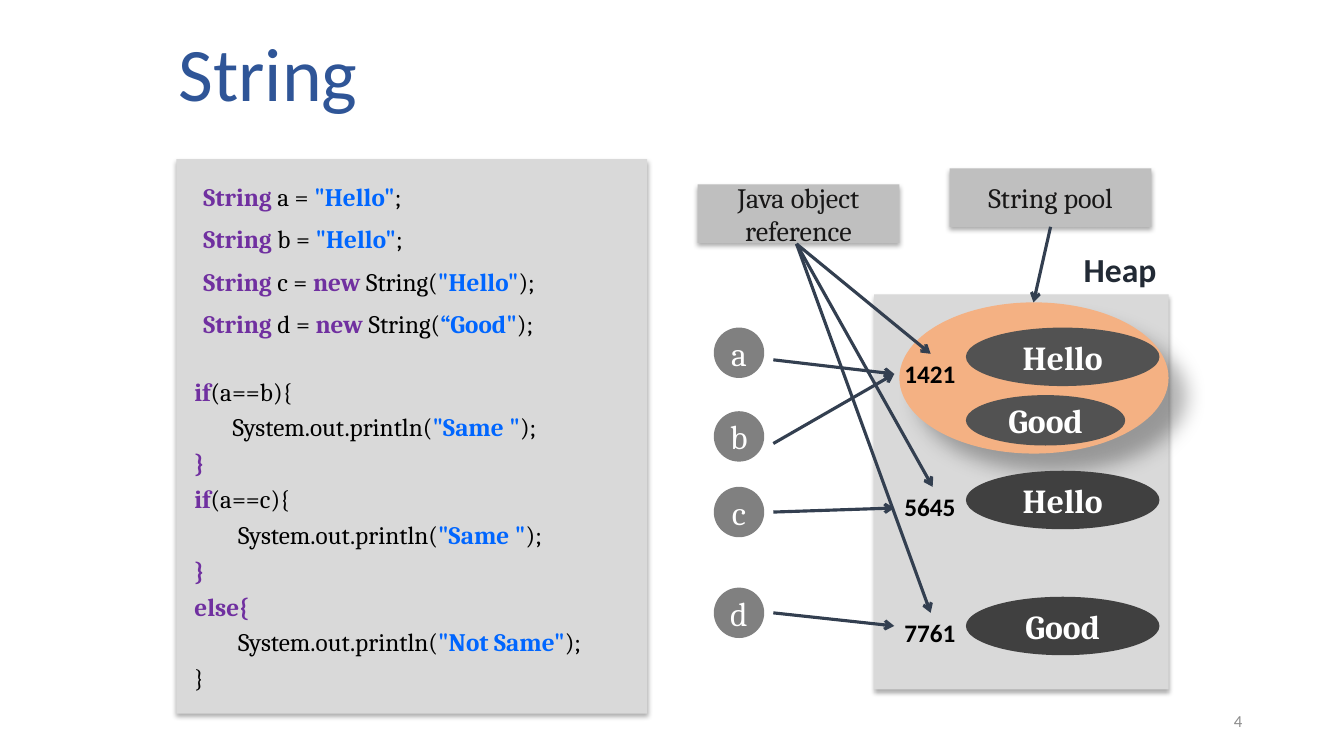
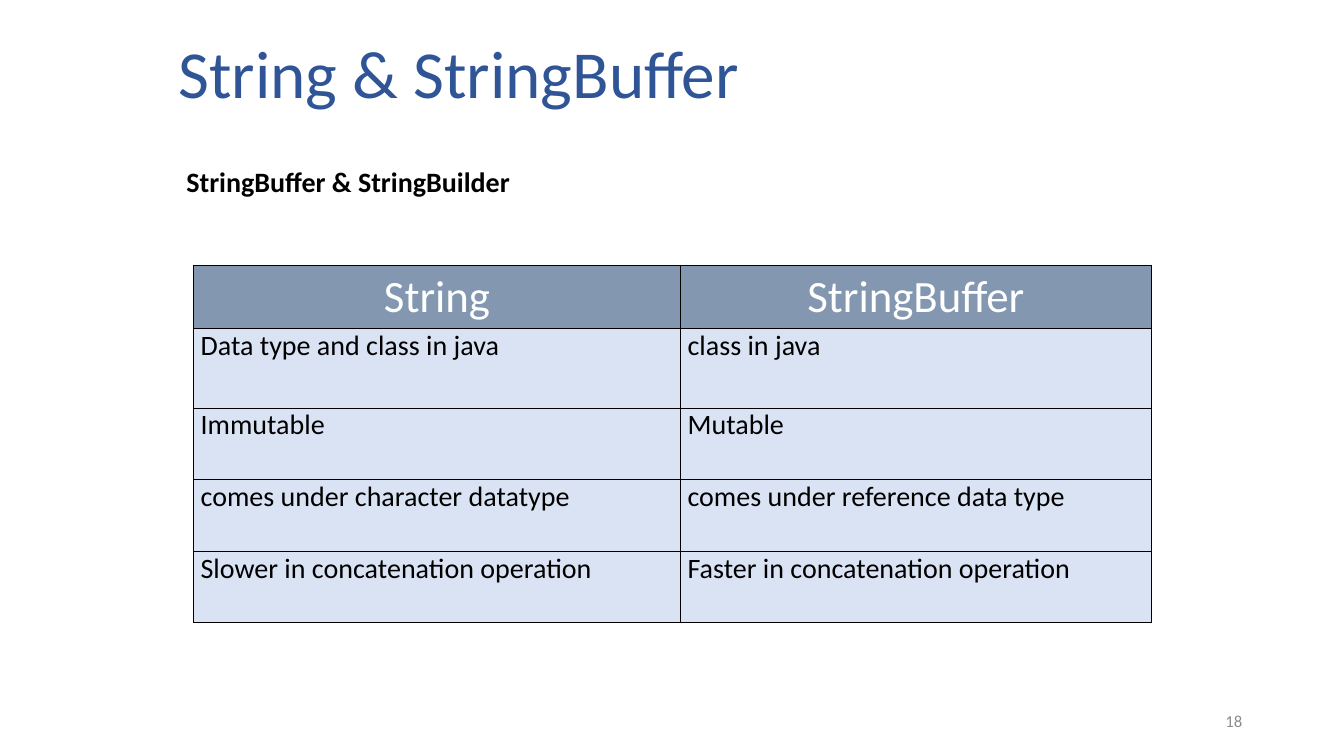
from lxml import etree
from pptx import Presentation
from pptx.dml.color import RGBColor
from pptx.enum import shapes, text
from pptx.oxml import ns
from pptx.util import Inches, Pt

TITLE_BLUE = RGBColor(0x2F, 0x55, 0x97)
PANEL = RGBColor(0xD9, 0xD9, 0xD9)
CAPTION = RGBColor(0xBF, 0xBF, 0xBF)
CAPTION_INK = RGBColor(0x18, 0x17, 0x17)
VARIABLE = RGBColor(0x80, 0x80, 0x80)
HEAP_OBJECT = RGBColor(0x40, 0x40, 0x40)
POOL_OBJECT = RGBColor(0x52, 0x52, 0x52)
POOL = RGBColor(0xF4, 0xB1, 0x83)
ARROW = RGBColor(0x33, 0x3F, 0x50)
HEAP_INK = RGBColor(0x22, 0x2A, 0x35)
KEYWORD = RGBColor(0x70, 0x30, 0xA0)
LITERAL = RGBColor(0x00, 0x66, 0xFF)
HEADER = RGBColor(0x84, 0x97, 0xB0)
BODY = RGBColor(0xDA, 0xE3, 0xF3)
NUMBER = RGBColor(0x8C, 0x8C, 0x8C)
WHITE = RGBColor(0xFF, 0xFF, 0xFF)
BLACK = RGBColor(0x00, 0x00, 0x00)

SANS, SERIF = "Calibri", "Cambria"
RECT = shapes.MSO_SHAPE.RECTANGLE
OVAL = shapes.MSO_SHAPE.OVAL
LEFT, CENTER, RIGHT = (text.PP_ALIGN.LEFT, text.PP_ALIGN.CENTER,
                       text.PP_ALIGN.RIGHT)
TOP, MIDDLE = text.MSO_ANCHOR.TOP, text.MSO_ANCHOR.MIDDLE
SOFT_SHADOW = (32, 3.5, 2.2, 90)
POOL_SHADOW = (30, 15, 18, 45)

DECLARATIONS = [
    [("String", KEYWORD), (" a = ", BLACK), ('"Hello"', LITERAL),
     (";", BLACK)],
    [("String", KEYWORD), (" b = ", BLACK), ('"Hello"', LITERAL),
     (";", BLACK)],
    [("String", KEYWORD), (" c = ", BLACK), ("new", KEYWORD),
     (" String(", BLACK), ('"Hello"', LITERAL), (");", BLACK)],
    [("String", KEYWORD), (" d = ", BLACK), ("new", KEYWORD),
     (" String(", BLACK), ("\u201cGood\"", LITERAL), (");", BLACK)],
]
COMPARISON = [
    [("if", KEYWORD), ("(a==b){", BLACK)],
    [("\tSystem.out.println(", BLACK), ('"Same "', LITERAL), (");", BLACK)],
    [("}", KEYWORD)],
    [("if", KEYWORD), ("(a==c){", BLACK)],
    [("\t System.out.println(", BLACK), ('"Same "', LITERAL), (");", BLACK)],
    [("}", KEYWORD)],
    [("else{", KEYWORD)],
    [("\t System.out.println(", BLACK), ('"Not Same"', LITERAL),
     (");", BLACK)],
    [("}", BLACK)],
]
ROWS = [
    ("String", "StringBuffer"),
    ("Data type and class in java", "class in java"),
    ("Immutable", "Mutable"),
    ("comes under character datatype", "comes under reference data type"),
    ("Slower in concatenation operation", "Faster in concatenation operation"),
]


def style_run(r, size, color, font=SANS, bold=False):
    r.font.size = Pt(size)
    r.font.name = font
    r.font.bold = bold
    r.font.color.rgb = color


def write(tf, content, size, color, font=SANS, bold=False, align=LEFT,
          anchor=TOP):
    tf.text = content
    tf.vertical_anchor = anchor
    p = tf.paragraphs[0]
    p.alignment = align
    style_run(p.runs[0], size, color, font, bold)


def add_text(s, box, content, size, color, wrap=True, **style):
    tf = s.shapes.add_textbox(*map(Inches, box)).text_frame
    tf.word_wrap = wrap
    write(tf, content, size, color, **style)


def add_code(s, box, lines):
    tf = s.shapes.add_textbox(*map(Inches, box)).text_frame
    tf.word_wrap = True
    for i, line in enumerate(lines):
        p = tf.add_paragraph() if i else tf.paragraphs[0]
        p.space_before = Pt(4)
        pPr = p._p.get_or_add_pPr()
        pPr.set("marL", str(Inches(0.38)))
        pPr.set("indent", str(-Inches(0.38)))
        for content, color in line:
            r = p.add_run()
            r.text = content
            style_run(r, 18, color, SERIF, color != BLACK)


def add_shadow(sp, opacity, blur, distance, angle):
    effects = sp._element.spPr.find(ns.qn("a:effectLst"))
    outer = etree.SubElement(
        effects, ns.qn("a:outerShdw"), blurRad=str(Pt(blur)),
        dist=str(Pt(distance)), dir=str(angle * 60000), algn="ctr",
        rotWithShape="0")
    color = etree.SubElement(outer, ns.qn("a:srgbClr"), val=str(BLACK))
    etree.SubElement(color, ns.qn("a:alpha"), val=str(opacity * 1000))


def add_block(s, kind, box, fill, shadow=None):
    sp = s.shapes.add_shape(kind, *map(Inches, box))
    sp.fill.solid()
    sp.fill.fore_color.rgb = fill
    sp.line.fill.background()
    sp.shadow.inherit = False
    if shadow:
        add_shadow(sp, *shadow)
    return sp


def add_caption(s, box, content):
    sp = add_block(s, RECT, box, CAPTION, SOFT_SHADOW)
    write(sp.text_frame, content, 20, CAPTION_INK, SERIF, align=CENTER,
          anchor=MIDDLE)


def add_oval(s, box, content, fill, bold=True):
    sp = add_block(s, OVAL, box, fill)
    sp.text_frame.word_wrap = False
    write(sp.text_frame, content, 24, WHITE, SERIF, bold, CENTER, MIDDLE)


def add_arrow(s, start, end):
    cx = s.shapes.add_connector(shapes.MSO_CONNECTOR.STRAIGHT,
                                *map(Inches, start + end))
    cx.line.color.rgb = ARROW
    cx.line.width = Pt(2.25)
    spPr = cx._element.spPr
    etree.SubElement(spPr.find(ns.qn("a:ln")), ns.qn("a:tailEnd"),
                     type="arrow")
    etree.SubElement(spPr, ns.qn("a:effectLst"))


def add_slide(prs, title, size, number):
    s = prs.slides.add_slide(prs.slide_layouts[5])
    sp = s.shapes.title
    sp.left, sp.top, sp.width, sp.height = map(Inches, (1.67, 0, 7.83, 1.42))
    sp.text_frame.auto_size = text.MSO_AUTO_SIZE.NONE
    write(sp.text_frame, title, size, TITLE_BLUE, anchor=MIDDLE)
    add_text(s, (9.42, 6.95, 3, 0.4), number, 12, NUMBER, align=RIGHT,
             anchor=MIDDLE)
    return s


def add_borders(cell):
    tcPr = cell._tc.get_or_add_tcPr()
    for i, side in enumerate(("lnL", "lnR", "lnT", "lnB")):
        ln = etree.Element(ns.qn("a:" + side), w=str(Pt(1)))
        fill = etree.SubElement(ln, ns.qn("a:solidFill"))
        etree.SubElement(fill, ns.qn("a:srgbClr"), val=str(BLACK))
        tcPr.insert(i, ln)


def add_comparison_table(s, box, widths, heights):
    table = s.shapes.add_table(len(ROWS), len(widths),
                               *map(Inches, box)).table
    table.horz_banding = False
    for column, width in zip(table.columns, widths):
        column.width = Inches(width)
    for i, (row, height) in enumerate(zip(table.rows, heights)):
        row.height = Inches(height)
        for cell, content in zip(row.cells, ROWS[i]):
            cell.margin_left = cell.margin_right = Inches(0.07)
            cell.margin_top = cell.margin_bottom = 0
            cell.fill.solid()
            cell.fill.fore_color.rgb = BODY if i else HEADER
            if i:
                write(cell.text_frame, content, 20, BLACK)
            else:
                write(cell.text_frame, content, 32, WHITE, align=CENTER)
            cell.vertical_anchor = TOP if i else MIDDLE
            add_borders(cell)


def add_memory_diagram(s):
    add_block(s, RECT, (8.67, 2.92, 2.92, 3.92), PANEL, SOFT_SHADOW)
    add_text(s, (10.65, 2.42, 0.93, 0.5), "Heap", 24, HEAP_INK, wrap=False,
             bold=True)
    add_caption(s, (6.92, 1.83, 2, 0.58), "Java object reference")
    add_caption(s, (9.42, 1.67, 2, 0.58), "String pool")
    add_block(s, OVAL, (8.92, 3, 2.67, 1.5), POOL, POOL_SHADOW)

    for top, width, height, content, fill in (
            (3.25, 1.92, 0.58, "Hello", POOL_OBJECT),
            (3.92, 1.58, 0.5, "Good", POOL_OBJECT),
            (4.67, 1.92, 0.58, "Hello", HEAP_OBJECT),
            (5.92, 1.92, 0.58, "Good", HEAP_OBJECT)):
        add_oval(s, (9.58, top, width, height), content, fill)

    for top, address in ((3.51, "1421"), (4.83, "5645"), (6.08, "7761")):
        add_text(s, (8.87, top, 0.71, 0.4), address, 18, BLACK, wrap=False,
                 bold=True)

    for name, top, start, end in (("a", 3.25, 3.57, 3.71),
                                  ("b", 4.08, 4.4, 3.71),
                                  ("c", 4.83, 5.08, 5.04),
                                  ("d", 5.83, 6.08, 6.21)):
        add_oval(s, (7.08, top, 0.5, 0.5), name, VARIABLE, bold=False)
        add_arrow(s, (7.67, start), (8.87, end))

    for end in ((9.23, 3.51), (9.25, 4.83), (9.23, 6.08)):
        add_arrow(s, (7.9, 2.42), end)
    add_arrow(s, (10.42, 2.25), (10.25, 3))


def build_string_slide(prs):
    s = add_slide(prs, "String", 54, "4")
    add_block(s, RECT, (1.75, 1.58, 4.67, 5.5), PANEL, SOFT_SHADOW)
    for i, line in enumerate(DECLARATIONS):
        add_code(s, (1.92, 1.75 + 0.42 * i, 3.76, 0.4), [line])
    add_code(s, (1.83, 3.68, 4.5, 3.32), COMPARISON)
    add_memory_diagram(s)


def build_buffer_slide(prs):
    s = add_slide(prs, "String & StringBuffer", 48, "18")
    add_text(s, (1.75, 1.58, 3.67, 0.67), "StringBuffer & StringBuilder", 20,
             BLACK, bold=True)
    add_comparison_table(s, (1.92, 2.63, 9.5, 3.54), (4.83, 4.67),
                         (0.63, 0.79, 0.71, 0.71, 0.71))


def main():
    prs = Presentation()
    prs.slide_width, prs.slide_height = Inches(13.33), Inches(7.5)
    build_string_slide(prs)
    build_buffer_slide(prs)
    prs.save("out.pptx")


main()
